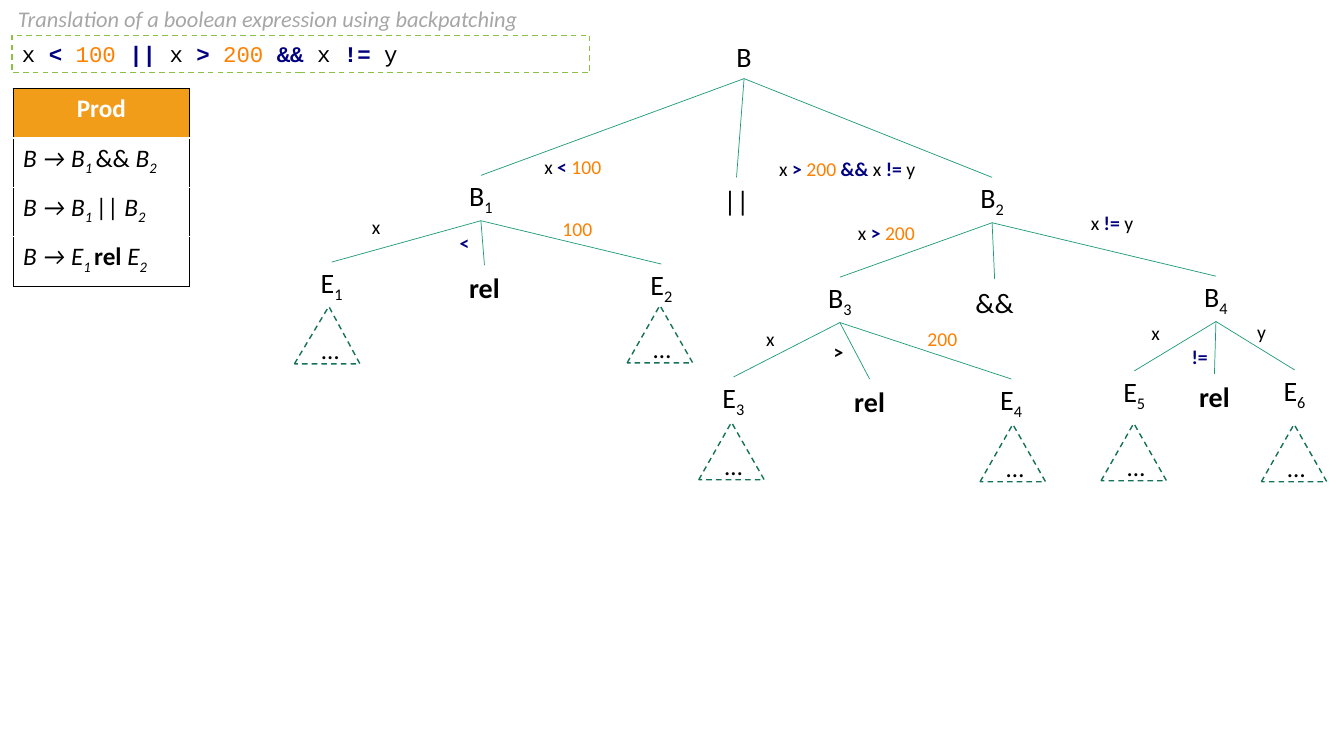
"""Build a slide showing the parse tree of a boolean expression."""
from lxml import etree
from pptx import Presentation
from pptx.dml.color import RGBColor
from pptx.enum.dml import MSO_LINE
from pptx.enum.shapes import MSO_CONNECTOR, MSO_SHAPE
from pptx.enum.text import MSO_ANCHOR, MSO_AUTO_SIZE, PP_ALIGN
from pptx.oxml.ns import qn
from pptx.util import Pt

PX = 9144
OVAL, RECT, PEAK = MSO_SHAPE.OVAL, MSO_SHAPE.RECTANGLE, MSO_SHAPE.ISOSCELES_TRIANGLE
LINE, DASH = MSO_CONNECTOR.STRAIGHT, MSO_LINE.DASH
LEFT, MID = PP_ALIGN.LEFT, PP_ALIGN.CENTER
TOP, CENTER = MSO_ANCHOR.TOP, MSO_ANCHOR.MIDDLE
GROW = MSO_AUTO_SIZE.SHAPE_TO_FIT_TEXT

HUES = {"ink": "000000", "navy": "000080", "orange": "FF8000", "gray": "A6A6A6",
        "branch": "1D9A78", "leaf": "157259", "frame": "8BC145",
        "head": "F19D19", "white": "FFFFFF"}
OPS = {"<", ">", "!=", "&&", "||"}


def tint(name):
    """Return a named colour."""
    return RGBColor.from_string(HUES[name])


def code(text):
    """Split an expression into coloured runs."""
    words = text.split(" ")
    runs = []
    for i, word in enumerate(words):
        gap = " " if i < len(words) - 1 else ""
        hue = "navy" if word in OPS else "orange" if word.isdigit() else "ink"
        runs.append((word + gap, {"hue": hue, "bold": word in OPS}))
    return runs


def term(word, gap="", **fmt):
    """Split a grammar symbol into a letter and its subscript."""
    fmt["bold"] = word == "rel"
    if word[-1].isdigit():
        return [(word[:-1], fmt), (word[-1] + gap, {**fmt, "sub": True})]
    return [(word + gap, fmt)]


def rule(text):
    """Split a production into italic symbols and upright operators."""
    words = text.split(" ")
    runs = []
    for i, word in enumerate(words):
        gap = " " if i < len(words) - 1 else ""
        slant = word != "rel" and word not in OPS
        runs += term(word, gap, italic=slant)
    return runs


class Deck:
    """Hold the style and the current slide."""

    def __init__(self, wide, high):
        """Open a blank slide of the given size."""
        self.prs = Presentation()
        self.prs.slide_width, self.prs.slide_height = wide * PX, high * PX
        self.shapes = self.prs.slides.add_slide(self.prs.slide_layouts[6]).shapes
        self.font = {"name": "Calibri", "bold": False, "italic": False}

    def text(self, frame, runs, size, align=LEFT, **base):
        """Fill a text frame with formatted runs."""
        para = frame.paragraphs[0]
        para.alignment = align
        for words, fmt in runs:
            run = para.add_run()
            run.text = words
            look = {**self.font, "size": Pt(size), **base, **fmt}
            run.font.color.rgb = tint(look.pop("hue", "ink"))
            if look.pop("sub", False):
                run._r.get_or_add_rPr().set("baseline", "-25000")
            for key, value in look.items():
                setattr(run.font, key, value)

    def shape(self, kind, box, edge=None):
        """Add an unfilled shape with an optional dashed edge."""
        item = self.shapes.add_shape(kind, *(n * PX for n in box))
        item.shadow.inherit = False
        item.fill.background()
        if edge:
            item.line.color.rgb = tint(edge)
            item.line.width, item.line.dash_style = Pt(1), DASH
        else:
            item.line.fill.background()
        return item

    def node(self, word, box):
        """Add a tree node."""
        item = self.shape(OVAL, box)
        frame = item.text_frame
        frame.word_wrap, frame.vertical_anchor = False, CENTER
        self.text(frame, term(word), 20, MID)
        return item

    def leaf(self, x, y, tip=0.5):
        """Add a dashed triangle for a collapsed subtree."""
        item = self.shape(PEAK, (x, y, 65, 57), "leaf")
        item.adjustments[0] = tip
        frame = item.text_frame
        frame.word_wrap, frame.vertical_anchor = True, CENTER
        self.text(frame, [("…", {})], 18, MID)

    def branch(self, top, low):
        """Join the foot of one node to the top of another."""
        line = self.shapes.add_connector(
            LINE, top.left + top.width // 2, top.top + top.height, 0, 0)
        line.end_connect(low, 0)
        line.line.color.rgb, line.line.width = tint("branch"), Pt(0.5)
        etree.SubElement(line._element.spPr, qn("a:effectLst"))

    def label(self, runs, box, size=14, **base):
        """Add a text box."""
        frame = self.shapes.add_textbox(*(n * PX for n in box)).text_frame
        frame.word_wrap, frame.auto_size = True, GROW
        self.text(frame, runs, size, **base)

    def panel(self, runs, box):
        """Add a dashed frame around a line of code."""
        frame = self.shape(RECT, box, "frame").text_frame
        frame.word_wrap, frame.vertical_anchor = True, TOP
        self.text(frame, runs, 16, name="Courier New")

    def border(self, cell, sides):
        """Draw black lines on the given sides of a cell."""
        props = cell._tc.get_or_add_tcPr()
        for i, side in enumerate(sides):
            line = etree.Element(qn("a:ln" + side), w="12700")
            fill = etree.SubElement(line, qn("a:solidFill"))
            etree.SubElement(fill, qn("a:srgbClr"), val=HUES["ink"])
            props.insert(i, line)

    def table(self, head, rules, box):
        """Add a one-column table of productions."""
        rows = [[(head, {"bold": True, "hue": "white"})], *map(rule, rules)]
        grid = self.shapes.add_table(len(rows), 1, *(n * PX for n in box)).table
        grid.first_row = grid.horz_banding = False
        for i, runs in enumerate(rows):
            cell = grid.cell(i, 0)
            if i == 0:
                cell.fill.solid()
                cell.fill.fore_color.rgb = tint("head")
            else:
                cell.fill.background()
            ends = ["T"] * (i == 0) + ["B"] * (i == len(rows) - 1)
            self.border(cell, ["L", "R", *ends])
            self.text(cell.text_frame, runs, 18, LEFT if i else MID)


NODES = {
    "B": ("B", 706, 33, 64), "B1": ("B1", 445, 174, 64),
    "or": ("||", 687, 176, 87), "B2": ("B2", 952, 176, 64),
    "E1": ("E1", 291, 260, 76), "rel1": ("rel", 437, 263, 87),
    "E2": ("E2", 619, 262, 74), "B3": ("B3", 792, 275, 82),
    "and": ("&&", 943, 277, 87), "B4": ("B4", 1164, 274, 84),
    "E3": ("E3", 689, 374, 77), "rel2": ("rel", 819, 376, 87),
    "E4": ("E4", 965, 376, 76), "E5": ("E5", 1087, 368, 76),
    "rel3": ("rel", 1161, 371, 87), "E6": ("E6", 1246, 367, 76)}
TREE = {"B": ("B1", "or", "B2"), "B1": ("E1", "rel1", "E2"),
        "B2": ("B3", "and", "B4"), "B3": ("E3", "rel2", "E4"),
        "B4": ("E5", "rel3", "E6")}
LEAVES = [(292, 304, 0.525), (622, 303), (693, 419), (972, 421), (1092, 420), (1251, 421)]
LABELS = [("x < 100", 530, 149, 147), ("x > 200", 841, 214, 189),
          ("x > 200 && x != y", 763, 151, 174), ("x", 359, 208, 64),
          ("100", 548, 210, 147), ("<", 446, 224, 48), ("x", 750, 319, 64),
          ("200", 910, 319, 147), ("x", 1132, 313, 45), ("y", 1237, 312, 50),
          ("!=", 1172, 337, 89), ("x != y", 1072, 204, 89)]


def main():
    """Draw the slide and save it."""
    deck = Deck(1333, 750)
    nodes = {key: deck.node(word, (x, y, w, 45))
             for key, (word, x, y, w) in NODES.items()}
    for top, lows in TREE.items():
        for low in lows:
            deck.branch(nodes[top], nodes[low])
    for spot in LEAVES:
        deck.leaf(*spot)
    deck.panel(code("x < 100 || x > 200 && x != y"), (12, 35, 573, 37))
    title = "Translation of a boolean expression using backpatching"
    deck.label([(title, {})], (8, 0, 540, 37), 16, hue="gray", italic=True)
    for text, x, y, w in LABELS:
        deck.label(code(text), (x, y, w, 34))
    deck.label([(">", {"bold": True})], (817, 332, 48, 34))
    deck.table("Prod", ["B → B1 && B2", "B → B1 || B2", "B → E1 rel E2"],
               (13, 88, 175, 196))
    deck.prs.save("out.pptx")


if __name__ == "__main__":
    main()
